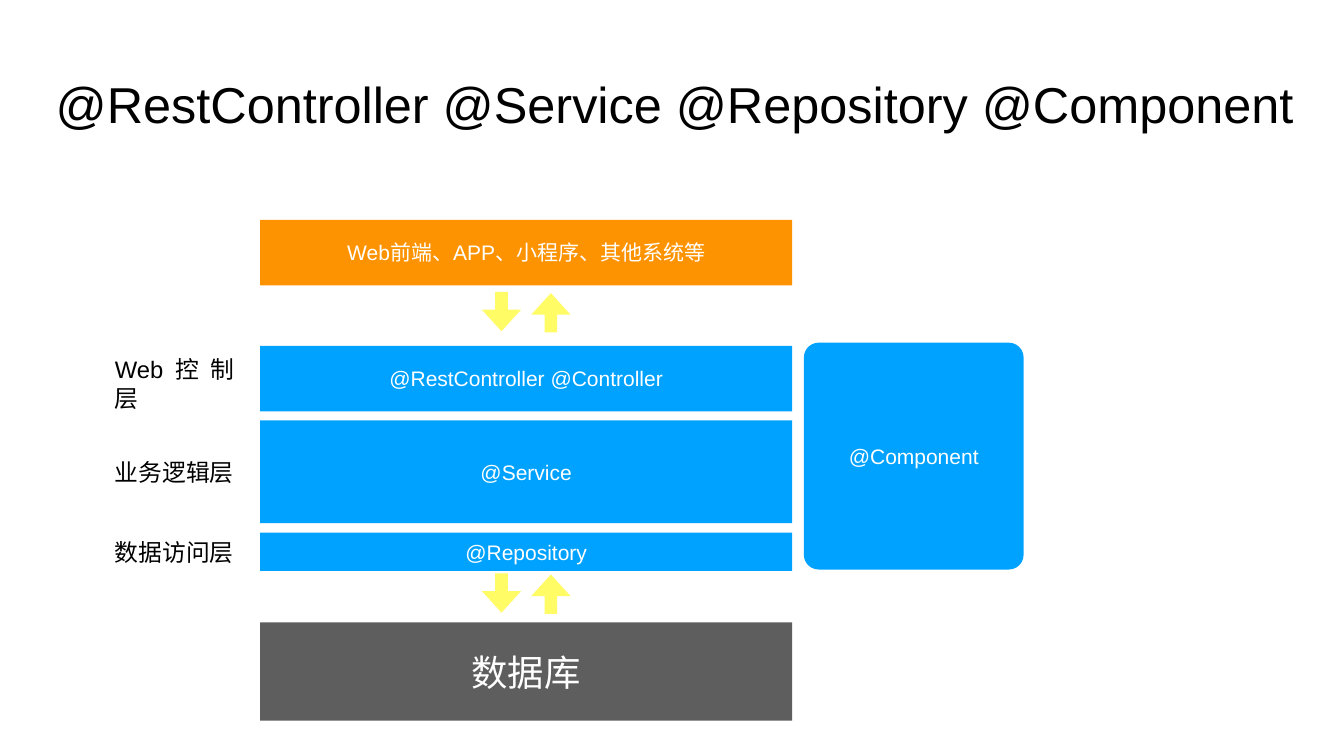
from dataclasses import dataclass

from pptx import Presentation
from pptx.dml.color import RGBColor
from pptx.enum.shapes import MSO_SHAPE
from pptx.enum.text import MSO_ANCHOR, MSO_AUTO_SIZE, PP_ALIGN
from pptx.shapes.autoshape import Shape
from pptx.slide import Slide
from pptx.text.text import TextFrame
from pptx.util import Pt

RECT = MSO_SHAPE.RECTANGLE
ROUNDED = MSO_SHAPE.ROUNDED_RECTANGLE
ARROW = MSO_SHAPE.RIGHT_ARROW
MIDDLE = MSO_ANCHOR.MIDDLE
NO_AUTOFIT = MSO_AUTO_SIZE.NONE
CENTER = PP_ALIGN.CENTER
JUSTIFY = PP_ALIGN.JUSTIFY
TITLE_ONLY = 5


@dataclass(frozen=True)
class Theme:
    font: str = "Arial"
    black: str = "000000"
    white: str = "FFFFFF"
    blue: str = "00A2FF"
    orange: str = "FE9301"
    gray: str = "5E5E5E"
    yellow: str = "FFFC66"
    title: float = 72
    database: float = 52
    label: float = 34
    body: float = 30
    inset: float = 5.6


THEME = Theme()


@dataclass(frozen=True)
class Box:
    text: str
    top: float
    height: float
    fill: str = THEME.blue
    size: float = THEME.body
    left: float = 371.5
    width: float = 760.3


@dataclass(frozen=True)
class Label:
    text: str
    top: float


LAYERS = [
    Box("Web前端、APP、小程序、其他系统等", 314, 93.6, THEME.orange),
    Box("@RestController @Controller", 494, 93.6),
    Box("@Service", 600.5, 146.9),
    Box("@Repository", 761, 54.7),
    Box("数据库", 889.2, 140.4, THEME.gray, THEME.database),
]
COMPONENT = Box("@Component", 489.6, 324, left=1148.4, width=313.9)
LABELS = [
    Label("Web控制层", 518.4),
    Label("业务逻辑层", 644.4),
    Label("数据访问层", 758.9),
]
ARROW_PAIR_TOPS = [417, 819]
ARROW_SIZE = 56.2


def set_text(tf: TextFrame, text: str, size: float, color: str,
             align: PP_ALIGN = CENTER) -> None:
    tf.word_wrap = True
    tf.auto_size = NO_AUTOFIT
    tf.vertical_anchor = MIDDLE
    tf.margin_left = tf.margin_right = Pt(THEME.inset)
    tf.margin_top = tf.margin_bottom = Pt(THEME.inset)
    p = tf.paragraphs[0]
    p.text = text
    p.alignment = align
    p.font.name = THEME.font
    p.font.size = Pt(size)
    p.font.color.rgb = RGBColor.from_string(color)


def add_filled(s: Slide, kind: MSO_SHAPE, left: float, top: float,
               width: float, height: float, fill: str) -> Shape:
    sp = s.shapes.add_shape(kind, Pt(left), Pt(top), Pt(width), Pt(height))
    sp.shadow.inherit = False
    sp.fill.solid()
    sp.fill.fore_color.rgb = RGBColor.from_string(fill)
    sp.line.fill.background()
    return sp


def add_box(s: Slide, box: Box, kind: MSO_SHAPE = RECT) -> Shape:
    sp = add_filled(s, kind, box.left, box.top, box.width, box.height, box.fill)
    set_text(sp.text_frame, box.text, box.size, THEME.white)
    return sp


def add_arrow(s: Slide, left: float, top: float, rotation: float) -> None:
    sp = add_filled(s, ARROW, left, top, ARROW_SIZE, ARROW_SIZE, THEME.yellow)
    sp.adjustments[0] = 0.32
    sp.adjustments[1] = 0.55
    sp.rotation = rotation


def add_label(s: Slide, label: Label) -> None:
    sp = s.shapes.add_textbox(Pt(158.4), Pt(label.top), Pt(182.2), Pt(59))
    set_text(sp.text_frame, label.text, THEME.label, THEME.black, JUSTIFY)


def main() -> None:
    prs = Presentation()
    prs.slide_width, prs.slide_height = Pt(1920), Pt(1080)
    s = prs.slides.add_slide(prs.slide_layouts[TITLE_ONLY])

    title = s.shapes.title
    title.left, title.top = Pt(64), Pt(28)
    title.width, title.height = Pt(1800), Pt(239)
    set_text(title.text_frame, "@RestController @Service @Repository @Component",
             THEME.title, THEME.black)

    for layer in LAYERS:
        add_box(s, layer)
    add_box(s, COMPONENT, ROUNDED).adjustments[0] = 0.067
    for top in ARROW_PAIR_TOPS:
        add_arrow(s, 688.3, top, 90)
        add_arrow(s, 758.9, top + 1.7, 270)
    for label in LABELS:
        add_label(s, label)

    prs.save("out.pptx")


if __name__ == "__main__":
    main()
